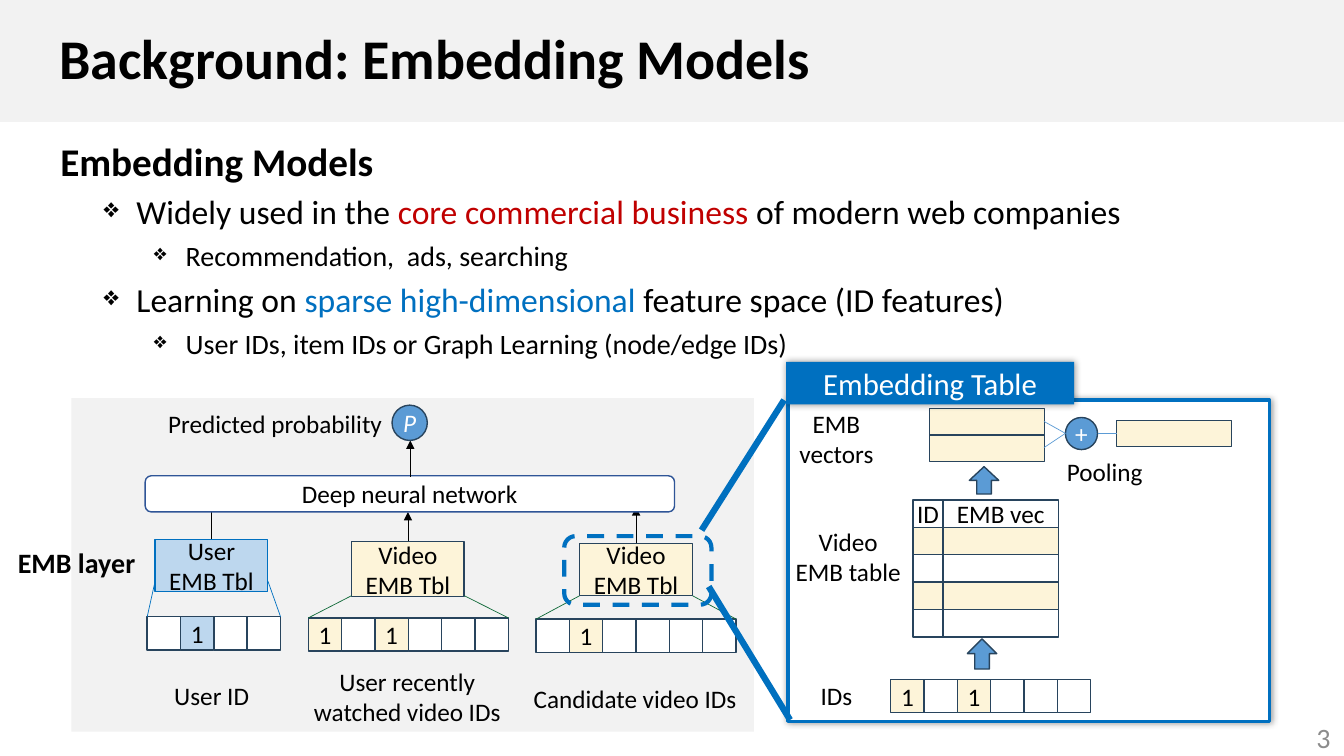
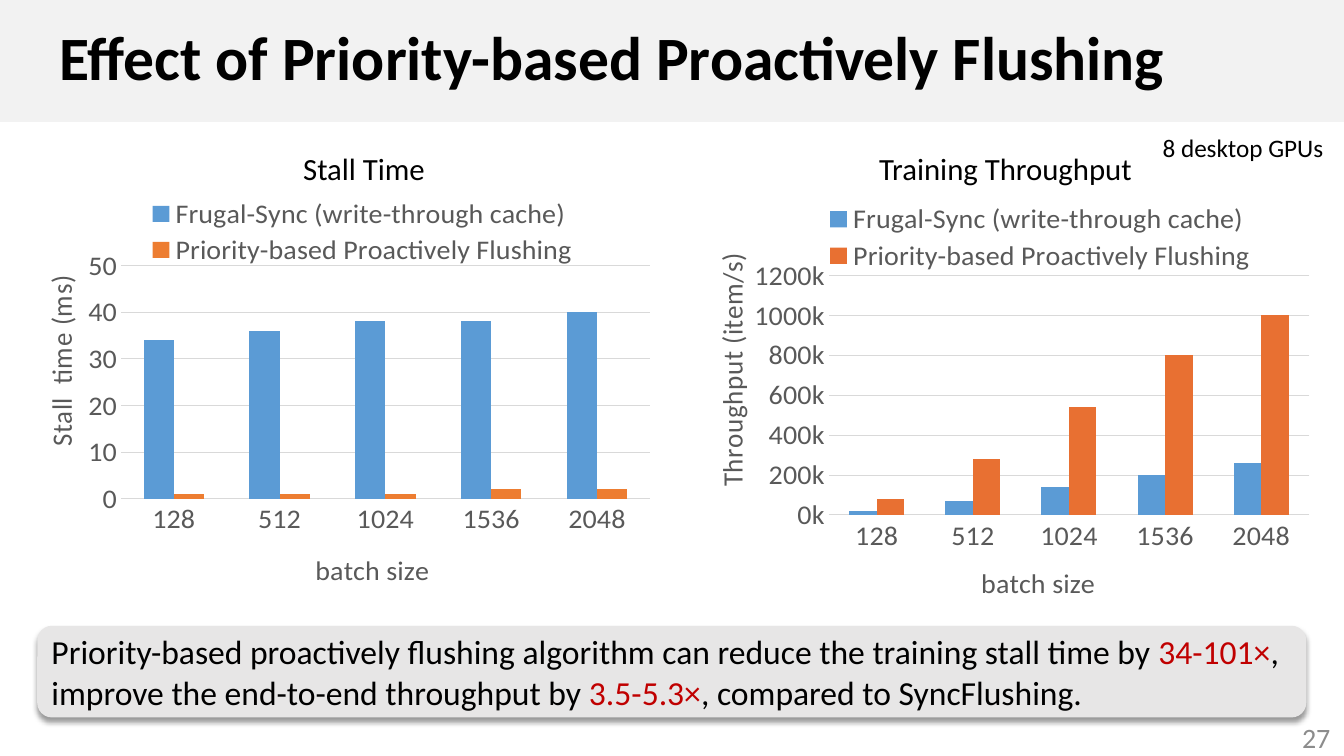
from dataclasses import dataclass
from typing import NamedTuple, Optional

from lxml.etree import SubElement
from pptx import Presentation
from pptx.chart.data import CategoryChartData
from pptx.dml.color import RGBColor
from pptx.enum.chart import XL_CHART_TYPE as ChartType, XL_LEGEND_POSITION as LegendPos, XL_TICK_MARK as Tick
from pptx.enum.dml import MSO_LINE_DASH_STYLE as Dash
from pptx.enum.shapes import MSO_CONNECTOR as Connector, MSO_SHAPE as Preset
from pptx.enum.text import MSO_ANCHOR as Anchor, PP_ALIGN as Align
from pptx.oxml.ns import qn
from pptx.util import Cm, Pt

FONT = "Calibri"
BLACK, WHITE, BAND, GREY = "000000", "FFFFFF", "F2F2F2", "595959"
NUMBER_GREY, GRID, CALLOUT = "8C8C8C", "D9D9D9", "E7E6E6"
RED, BLUE, SKY, PALE_BLUE = "C00000", "0070C0", "5B9BD5", "BDD7EE"
CREAM, NAVY, GREEN = "FDF4D9", "28445D", "0F6938"
SLIDE_WIDTH, SLIDE_HEIGHT = 33.87, 19.05
CELL = 0.84
TABLE_WIDTH = 2.84
VECTOR_WIDTH = 2.9


class Box(NamedTuple):
    """Left, top, width and height in centimetres."""
    left: float
    top: float
    width: float
    height: float


class Outline(NamedTuple):
    color: str
    width: float = 1
    dashed: bool = False


class Shadow(NamedTuple):
    blur: float
    distance: float = 0
    angle: int = 0


class Span(NamedTuple):
    text: str
    color: str = BLACK


class Bullet(NamedTuple):
    spans: list[Span]
    size: int
    margin: float
    hang: float


@dataclass
class Feature:
    """One sparse input: its one-hot cells, embedding table and caption."""
    caption: str
    caption_box: Box
    table_name: str
    table: Box
    cells_left: float
    cells_top: float
    count: int
    hot: set[int]
    arrow_tip: float
    fan_top: float
    fill: str = CREAM
    border: str = NAVY
    fan_color: str = GREEN


@dataclass
class BarPanel:
    heading: str
    heading_box: Box
    box: Box
    axis_name: str
    number_format: str
    top_value: int
    step: int
    values: tuple[list[int], list[int]]
    colors: tuple[str, str]
    plot: Box
    legend: Box
    value_title: tuple[float, float]
    category_title: tuple[float, float]


NAVY_LINE = Outline(NAVY)
PANEL_SHADOW = Shadow(5)


def rgb(color: str) -> RGBColor:
    return RGBColor.from_string(color)


def style_font(font, size: float, color: str = BLACK, bold: bool = False) -> None:
    font.name, font.size, font.bold = FONT, Pt(size), bold
    font.color.rgb = rgb(color)


def style_frame(frame, text: str, size: float, color: str, bold: bool, align) -> None:
    frame.text = text
    for paragraph in frame.paragraphs:
        paragraph.alignment = align
        for run in paragraph.runs:
            style_font(run.font, size, color, bold)


def add_spans(paragraph, spans: list[Span], size: float) -> None:
    for span in spans:
        run = paragraph.add_run()
        run.text = span.text
        style_font(run.font, size, span.color)


def draw_shape(slide, box: Box, fill: Optional[str] = None, outline: Optional[Outline] = None,
               text: str = "", size: float = 18, color: str = BLACK, bold: bool = False,
               align=Align.CENTER, preset=Preset.RECTANGLE, shadow: Optional[Shadow] = None):
    shape = slide.shapes.add_shape(preset, *map(Cm, box))
    if fill:
        shape.fill.solid()
        shape.fill.fore_color.rgb = rgb(fill)
    else:
        shape.fill.background()
    if outline:
        shape.line.color.rgb = rgb(outline.color)
        shape.line.width = Pt(outline.width)
        if outline.dashed:
            shape.line.dash_style = Dash.DASH
    else:
        shape.line.fill.background()
    shape.shadow.inherit = False
    if shadow:
        effects = shape._element.spPr.find(qn("a:effectLst"))
        outer = SubElement(effects, qn("a:outerShdw"), blurRad=str(Pt(shadow.blur)),
                           dist=str(Pt(shadow.distance)), dir=str(shadow.angle * 60000))
        SubElement(SubElement(outer, qn("a:srgbClr"), val=BLACK), qn("a:alpha"), val="40000")
    frame = shape.text_frame
    frame.word_wrap = True
    frame.vertical_anchor = Anchor.MIDDLE
    frame.margin_left = frame.margin_right = frame.margin_top = frame.margin_bottom = 0
    if text:
        style_frame(frame, text, size, color, bold, align)
    return shape


def draw_label(slide, box: Box, text: str, size: float = 18, color: str = BLACK,
               bold: bool = False, align=Align.CENTER, wrap: bool = False):
    label = slide.shapes.add_textbox(*map(Cm, box))
    label.text_frame.word_wrap = wrap
    style_frame(label.text_frame, text, size, color, bold, align)
    return label


def draw_line(slide, x1: float, y1: float, x2: float, y2: float, color: str = BLACK,
              width: float = 0.5, arrow: bool = False) -> None:
    line = slide.shapes.add_connector(Connector.STRAIGHT, Cm(x1), Cm(y1), Cm(x2), Cm(y2))
    line.line.color.rgb = rgb(color)
    line.line.width = Pt(width)
    if arrow:
        SubElement(line.line._get_or_add_ln(), qn("a:tailEnd"), type="triangle")
    SubElement(line._element.spPr, qn("a:effectLst"))


def start_slide(deck, title: str, title_size: int, number: int):
    """Add a blank slide with the title band and the page number."""
    slide = deck.slides.add_slide(deck.slide_layouts[6])
    band = draw_shape(slide, Box(0, 0, SLIDE_WIDTH, 3.07), BAND, text=title,
                      size=title_size, bold=True, align=Align.LEFT)
    band.text_frame.margin_left = Cm(1.5)
    band.text_frame.paragraphs[0].line_spacing = 0.9
    page = draw_label(slide, Box(26.16, 18.08, 7.62, 1.02), str(number), 20, NUMBER_GREY,
                      align=Align.RIGHT, wrap=True)
    page.text_frame.vertical_anchor = Anchor.MIDDLE
    return slide


def draw_outline(slide, heading: str, bullets: list[Bullet]) -> None:
    body = draw_label(slide, Box(0, 3.33, 31.8, 6), heading, 28, bold=True,
                      align=Align.LEFT, wrap=True)
    body.text_frame.paragraphs[0]._p.get_or_add_pPr().set("marL", str(Cm(1.27)))
    for bullet in bullets:
        paragraph = body.text_frame.add_paragraph()
        paragraph.space_before = Pt(5)
        props = paragraph._p.get_or_add_pPr()
        props.set("marL", str(Cm(bullet.margin)))
        props.set("indent", str(Cm(-bullet.hang)))
        SubElement(props, qn("a:buSzPct"), val="80000")
        SubElement(props, qn("a:buChar"), char="❖")
        add_spans(paragraph, bullet.spans, bullet.size)


def draw_cells(slide, left: float, top: float, count: int, hot: set[int], fill: str) -> None:
    for i in range(count):
        is_hot = i in hot
        draw_shape(slide, Box(left + i * CELL, top, CELL, CELL), fill if is_hot else WHITE,
                   NAVY_LINE, "1" if is_hot else "")


def draw_feature(slide, feature: Feature) -> None:
    table = feature.table
    draw_cells(slide, feature.cells_left, feature.cells_top, feature.count, feature.hot, feature.fill)
    draw_label(slide, feature.caption_box, feature.caption)
    draw_shape(slide, table, feature.fill, Outline(feature.border), feature.table_name)
    cells_right = feature.cells_left + feature.count * CELL
    for corner, end in ((table.left, feature.cells_left), (table.left + table.width, cells_right)):
        draw_line(slide, corner, feature.fan_top, end, feature.cells_top, feature.fan_color)
    middle = table.left + table.width / 2
    draw_line(slide, middle, table.top, middle, feature.arrow_tip, arrow=True)


def draw_embedding_table(slide) -> None:
    draw_shape(slide, Box(19.86, 10.08, 12.14, 8.1), WHITE, Outline(BLUE, 2.25), shadow=PANEL_SHADOW)
    row_height = 0.69
    for row in range(5):
        fill = CREAM if row in (1, 3) else None
        id_text, vector_text = ("ID", "EMB vec") if row == 0 else ("", "")
        top = 12.6 + row * row_height
        draw_shape(slide, Box(23.77, top, VECTOR_WIDTH, row_height), fill, NAVY_LINE, vector_text)
        draw_shape(slide, Box(23.01, top, 0.76, row_height), fill, NAVY_LINE, id_text)
    draw_cells(slide, 22.45, 17.12, 6, {0, 2}, CREAM)
    for up_arrow in (Box(24.38, 16.1, 0.74, 0.76), Box(24.43, 11.76, 0.74, 0.69)):
        draw_shape(slide, up_arrow, SKY, NAVY_LINE, preset=Preset.UP_ARROW)
    for vector in (Box(23.42, 10.29, VECTOR_WIDTH, 0.67), Box(23.42, 10.96, VECTOR_WIDTH, 0.67),
                   Box(28.14, 10.59, VECTOR_WIDTH, 0.66)):
        draw_shape(slide, vector, CREAM, NAVY_LINE)
    draw_shape(slide, Box(26.85, 10.52, 0.81, 0.81), SKY, NAVY_LINE, "+", color=WHITE, preset=Preset.OVAL)
    for pooling_line in ((26.31, 10.62, 26.85, 10.92), (26.31, 11.28, 26.85, 10.92),
                         (27.66, 10.92, 28.14, 10.92)):
        draw_line(slide, *pooling_line, SKY)
    draw_shape(slide, Box(19.81, 9.12, 7.26, 1.07), BLUE, text="Embedding Table", size=22,
               color=WHITE, shadow=PANEL_SHADOW)
    for box, text in ((Box(19.76, 13.13, 3.23, 1.8), "Video\nEMB table"),
                      (Box(20.42, 17.02, 1.32, 1.02), "IDs"),
                      (Box(26.62, 11.38, 2.44, 1.02), "Pooling"),
                      (Box(18.82, 10.16, 4.52, 1.8), "EMB\nvectors")):
        draw_label(slide, box, text)


def draw_model(slide) -> None:
    draw_shape(slide, Box(1.8, 10.03, 17.2, 8.41), BAND)
    features = [
        Feature("User ID", Box(4.04, 17.02, 2.59, 1.02), "User\nEMB Tbl",
                Box(3.91, 13.59, TABLE_WIDTH, 1.32), 3.71, 15.54, 4, {1}, 12.67, 14.64,
                PALE_BLUE, BLUE, BLUE),
        Feature("Candidate video IDs", Box(13.11, 17.09, 5.79, 1.02), "Video\nEMB Tbl",
                Box(14.61, 13.69, TABLE_WIDTH, 1.32), 13.51, 15.6, 6, {1}, 12.78, 15.01),
        Feature("User recently\nwatched video IDs", Box(7.6, 16.66, 5.33, 1.8), "Video\nEMB Tbl",
                Box(8.86, 13.64, TABLE_WIDTH, 1.4), 7.77, 15.57, 6, {0, 2}, 12.9, 15.01),
    ]
    for feature in features:
        draw_feature(slide, feature)
    draw_shape(slide, Box(3.66, 11.99, 13.34, 0.91), WHITE, Outline("2F5597"),
               "Deep neural network", preset=Preset.ROUNDED_RECTANGLE)
    draw_line(slide, 10.34, 12.01, 10.34, 11.1, arrow=True)
    probability = draw_shape(slide, Box(9.88, 10.21, 0.89, 0.89), SKY, NAVY_LINE, "P",
                             color=WHITE, preset=Preset.OVAL)
    probability.text_frame.paragraphs[0].runs[0].font.italic = True
    draw_label(slide, Box(3.95, 10.16, 5.97, 1.02), "Predicted probability")
    draw_shape(slide, Box(14.22, 13.51, 3.71, 1.73), outline=Outline(BLUE, 3, True),
               preset=Preset.ROUNDED_RECTANGLE)
    for zoom_line in ((17.68, 13.36, 19.76, 10.08), (17.86, 14.78, 19.91, 18.14)):
        draw_line(slide, *zoom_line, "0070BF", 4.5)
    draw_label(slide, Box(0.18, 13.61, 3.5, 1.12), "EMB layer", 20, bold=True)


def place_part(element, index: int, inner: bool = False, **edges: float) -> None:
    """Give a chart part a manual layout, as fractions of the chart."""
    for old in element.findall(qn("c:layout")):
        element.remove(old)
    layout = SubElement(element, qn("c:layout"))
    element.insert(index, layout)
    manual = SubElement(layout, qn("c:manualLayout"))
    if inner:
        SubElement(manual, qn("c:layoutTarget"), val="inner")
    for mode in ("xMode", "yMode"):
        SubElement(manual, qn(f"c:{mode}"), val="edge")
    for edge, fraction in edges.items():
        SubElement(manual, qn(f"c:{edge}"), val=str(fraction))


def draw_bars(slide, panel: BarPanel) -> None:
    data = CategoryChartData()
    data.categories = ["128", "512", "1024", "1536", "2048"]
    names = ("Frugal-Sync (write-through cache)", "Priority-based Proactively Flushing")
    for name, values in zip(names, panel.values):
        data.add_series(name, values)
    chart = slide.shapes.add_chart(ChartType.COLUMN_CLUSTERED, *map(Cm, panel.box), data).chart
    style_font(chart.font, 20, GREY)
    chart.has_title = False
    bars = chart.plots[0]
    bars.gap_width, bars.overlap, bars.vary_by_categories = 150, 0, False
    for series, color in zip(bars.series, panel.colors):
        series.format.fill.solid()
        series.format.fill.fore_color.rgb = rgb(color)
    categories, scale = chart.category_axis, chart.value_axis
    for axis, title, (x, y) in ((categories, "batch size", panel.category_title),
                                (scale, panel.axis_name, panel.value_title)):
        style_frame(axis.axis_title.text_frame, title, 20, GREY, False, Align.CENTER)
        place_part(axis.axis_title._element, 1, x=x, y=y)
        axis.major_tick_mark = axis.minor_tick_mark = Tick.NONE
        style_font(axis.tick_labels.font, 20, GREY)
    scale.minimum_scale, scale.maximum_scale, scale.major_unit = 0, panel.top_value, panel.step
    scale.tick_labels.number_format = panel.number_format
    scale.tick_labels.number_format_is_linked = False
    scale.format.line.fill.background()
    for line in (categories.format.line, scale.major_gridlines.format.line):
        line.color.rgb, line.width = rgb(GRID), Pt(0.75)
    chart.has_legend = True
    chart.legend.position = LegendPos.BOTTOM
    chart.legend.include_in_layout = False
    style_font(chart.legend.font, 20, GREY)
    for element, index, box in ((chart.legend._element, 1, panel.legend),
                                (chart._chartSpace.chart.plotArea, 0, panel.plot)):
        place_part(element, index, index == 0, x=box.left, y=box.top, w=box.width, h=box.height)
    draw_label(slide, panel.heading_box, panel.heading, 22, wrap=True)


def build_background(deck) -> None:
    slide = start_slide(deck, "Background: Embedding Models", 40, 3)
    main, sub = (24, 3.19, 0.83), (20, 4.43, 0.8)
    draw_outline(slide, "Embedding Models", [
        Bullet([Span("Widely used in the "), Span("core commercial business ", RED),
                Span("of modern web companies")], *main),
        Bullet([Span("Recommendation,  ads, searching")], *sub),
        Bullet([Span("Learning on "), Span("sparse high-dimensional", BLUE),
                Span(" feature space (ID features)")], *main),
        Bullet([Span("User IDs, item IDs or Graph Learning (node/edge IDs)")], *sub),
    ])
    draw_embedding_table(slide)
    draw_model(slide)


def build_flushing(deck) -> None:
    slide = start_slide(deck, "Effect of Priority-based Proactively Flushing", 44, 27)
    draw_bars(slide, BarPanel(
        "Stall Time", Box(3.84, 3.66, 10.67, 1.22), Box(0.25, 4.6, 16.46, 10.41),
        "Stall  time (ms)", "General", 50, 10, ([34, 36, 38, 38, 40], [1, 1, 1, 2, 2]),
        (SKY, "ED7D31"), Box(0.17, 0.21, 0.81, 0.59), Box(0.21, 0.03, 0.66, 0.19),
        (0.04, 0.24), (0.46, 0.92)))
    draw_bars(slide, BarPanel(
        "Training Throughput", Box(21.54, 3.66, 7.6, 1.22), Box(17.17, 4.93, 16.15, 10.41),
        "Throughput (item/s)", '0,"k"', 1200000, 200000,
        ([20000, 70000, 140000, 200000, 260000], [80000, 280000, 540000, 800000, 1000000]),
        (SKY, "E87032"), Box(0.23, 0.2, 0.75, 0.6), Box(0.22, 0.01, 0.68, 0.19),
        (0.04, 0.15), (0.46, 0.91)))
    callout = draw_shape(slide, Box(0.94, 15.77, 31.98, 2.31), CALLOUT,
                         preset=Preset.ROUNDED_RECTANGLE, shadow=Shadow(4, 3, 90))
    callout.adjustments[0] = 0.16
    callout.text_frame.margin_left = callout.text_frame.margin_right = Cm(0.25)
    finding = callout.text_frame.paragraphs[0]
    finding.alignment = Align.LEFT
    add_spans(finding, [
        Span("Priority-based proactively flushing algorithm can reduce the training stall time by "),
        Span("34-101×", RED), Span(", improve the end-to-end throughput by "),
        Span("3.5-5.3×", RED), Span(", compared to SyncFlushing.")], 24)
    draw_label(slide, Box(27.5, 3.2, 6.1, 1.02), "8 desktop GPUs", align=Align.RIGHT, wrap=True)


def main() -> None:
    deck = Presentation()
    deck.slide_width, deck.slide_height = Cm(SLIDE_WIDTH), Cm(SLIDE_HEIGHT)
    build_background(deck)
    build_flushing(deck)
    deck.save("out.pptx")


if __name__ == "__main__":
    main()
